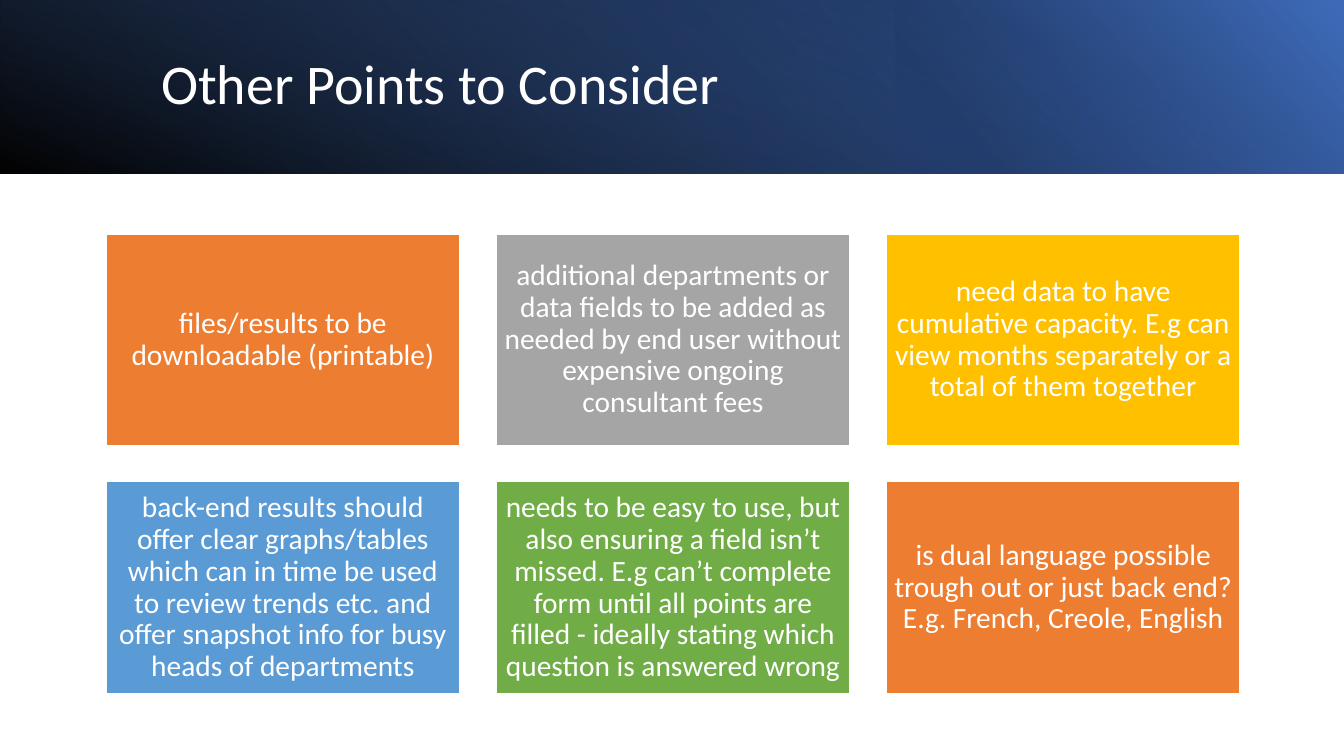
from dataclasses import dataclass

from lxml.etree import SubElement
from pptx import Presentation
from pptx.dml.color import RGBColor
from pptx.enum.shapes import MSO_SHAPE
from pptx.enum.text import MSO_ANCHOR, PP_ALIGN
from pptx.oxml.ns import qn
from pptx.util import Inches, Pt


@dataclass(frozen=True)
class Theme:
    font: str = "Calibri"
    title_size: int = 40
    card_size: int = 21
    white: str = "FFFFFF"
    black: str = "000000"
    navy: str = "203864"
    deep_blue: str = "2F5597"
    blue: str = "4472C4"
    orange: str = "ED7D31"
    gray: str = "A5A5A5"
    gold: str = "FFC000"
    sky: str = "5B9BD5"
    green: str = "70AD47"


THEME = Theme()
SLIDE_W, SLIDE_H, BANNER_H = 13.33, 7.5, 1.72

# Card grid
COLUMNS = 3
CARD_W, CARD_H, GAP = 3.51, 2.1, 0.36
GRID_LEFT, GRID_TOP = 1.05, 2.32
CARDS = [
    (THEME.orange, "files/results to be downloadable (printable)"),
    (THEME.gray, "additional departments or data fields to be added as needed by "
                 "end user without expensive ongoing consultant fees"),
    (THEME.gold, "need data to have cumulative capacity. E.g can view months "
                 "separately or a total of them together"),
    (THEME.sky, "back-end results should offer clear graphs/tables which can in time "
                "be used to review trends etc. and offer snapshot info for busy heads "
                "of departments"),
    (THEME.green, "needs to be easy to use, but also ensuring a field isn’t missed. "
                  "E.g can’t complete form until all points are filled - ideally "
                  "stating which question is answered wrong"),
    (THEME.orange, "is dual language possible trough out or just back end? "
                   "E.g. French, Creole, English"),
]


def rgb(color):
    return RGBColor.from_string(color)


def write_text(sp, text, *, size, align=PP_ALIGN.LEFT, inset=None):
    tf = sp.text_frame
    tf.word_wrap = True
    tf.vertical_anchor = MSO_ANCHOR.MIDDLE
    if inset is not None:
        tf.margin_left = tf.margin_right = Inches(inset)
        tf.margin_top = tf.margin_bottom = Inches(inset)
    p = tf.paragraphs[0]
    p.alignment = align
    p.line_spacing = 0.9
    r = p.add_run()
    r.text = text
    r.font.name = THEME.font
    r.font.size = Pt(size)
    r.font.color.rgb = rgb(THEME.white)


def add_rect(s, left, top, width, height):
    sp = s.shapes.add_shape(MSO_SHAPE.RECTANGLE, Inches(left), Inches(top),
                            Inches(width), Inches(height))
    sp.shadow.inherit = False
    return sp


def add_gradient_rect(s, box, stops, angle, rotation=0, flip=False):
    """Each stop is (position, colour, opacity), in percent."""
    sp = add_rect(s, *box)
    sp.line.fill.background()
    sp.rotation = rotation
    if flip:
        sp._element.spPr.get_or_add_xfrm().set("flipH", "1")
    sp.fill.gradient()
    sp.fill.gradient_angle = angle
    for stop, (position, color, _) in zip(sp.fill.gradient_stops, stops):
        stop.position = position / 100
        stop.color.rgb = rgb(color)
    # Opacity of each stop
    for clr, (_, _, opacity) in zip(sp._element.spPr.iter(qn("a:srgbClr")), stops):
        SubElement(clr, qn("a:alpha")).set("val", str(opacity * 1000))


def add_banner(s):
    add_gradient_rect(s, (0, 0, SLIDE_W, BANNER_H),
                      [(0, THEME.black, 96), (100, THEME.deep_blue, 100)],
                      angle=140, flip=True)
    third = SLIDE_W / 3
    add_gradient_rect(s, (2 * third, 0, third, BANNER_H),
                      [(19, THEME.navy, 68), (100, THEME.blue, 79)],
                      angle=320, rotation=180, flip=True)
    # A quarter turn about the centre lays this upright strip over the banner
    offset = (SLIDE_W - BANNER_H) / 2
    add_gradient_rect(s, (offset, -offset, BANNER_H, SLIDE_W),
                      [(23, THEME.blue, 0), (99, THEME.black, 74)],
                      angle=340, rotation=90)


def add_title(s, text):
    sp = s.shapes.add_textbox(Inches(1.5), Inches(0.38), Inches(10.98), Inches(0.96))
    write_text(sp, text, size=THEME.title_size)


def add_card(s, index, color, text):
    row, col = divmod(index, COLUMNS)
    sp = add_rect(s, GRID_LEFT + col * (CARD_W + GAP),
                  GRID_TOP + row * (CARD_H + GAP), CARD_W, CARD_H)
    sp.fill.solid()
    sp.fill.fore_color.rgb = rgb(color)
    sp.line.color.rgb = rgb(THEME.white)
    sp.line.width = Pt(1)
    write_text(sp, text, size=THEME.card_size, align=PP_ALIGN.CENTER, inset=0.08)


def main():
    prs = Presentation()
    prs.slide_width, prs.slide_height = Inches(SLIDE_W), Inches(SLIDE_H)
    s = prs.slides.add_slide(prs.slide_layouts[6])
    add_banner(s)
    add_title(s, "Other Points to Consider")
    for index, (color, text) in enumerate(CARDS):
        add_card(s, index, color, text)
    prs.save("out.pptx")


if __name__ == "__main__":
    main()
